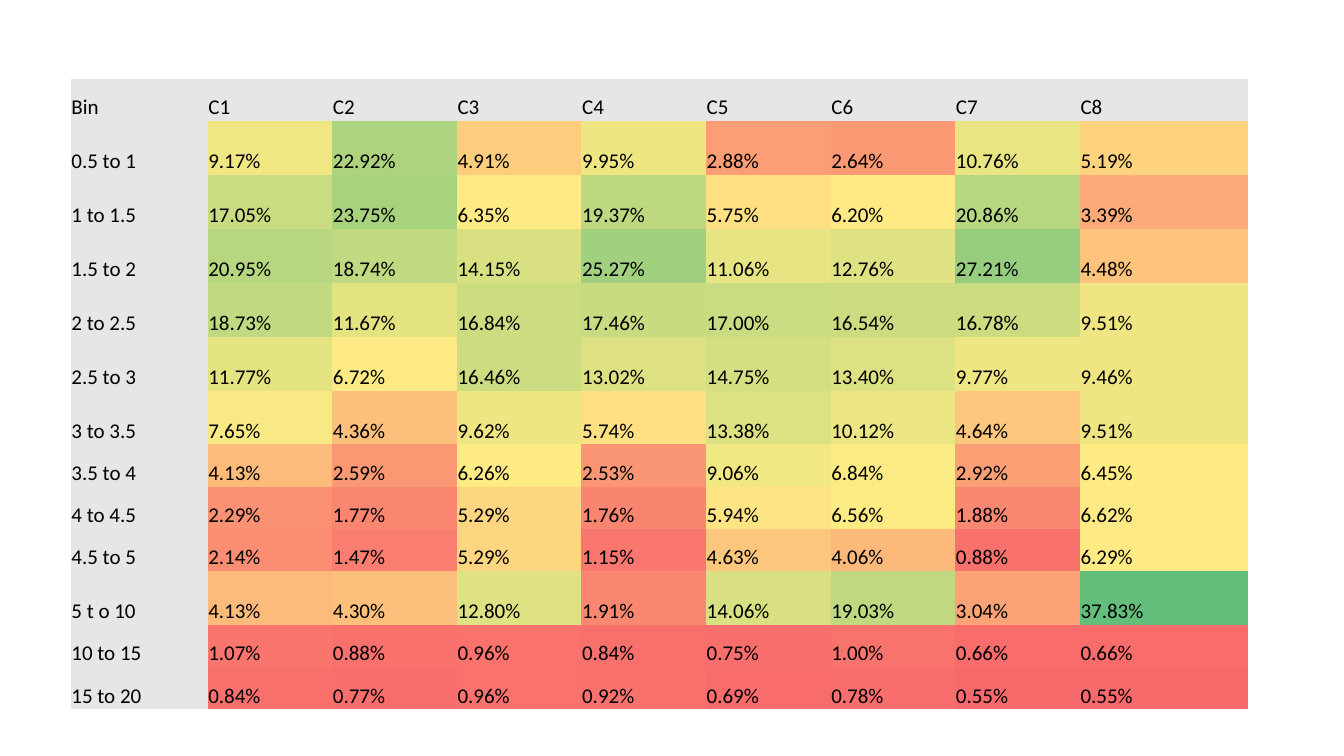
from dataclasses import dataclass

import pptx
import pptx.dml.color
import pptx.enum.text
import pptx.oxml.ns
import pptx.util

Cm = pptx.util.Cm
RGBColor = pptx.dml.color.RGBColor

GREY = RGBColor(0xE7, 0xE6, 0xE6)
BLACK = RGBColor(0x00, 0x00, 0x00)
LOW_RED = RGBColor(0xF8, 0x69, 0x6B)
MEDIAN_YELLOW = RGBColor(0xFF, 0xEB, 0x84)
HIGH_GREEN = RGBColor(0x63, 0xBE, 0x7B)

NO_STYLE_NO_GRID = "{2D5ABB26-0587-4C30-8999-92F81FD0307C}"
SHORT_ROW = Cm(1.06)
TALL_ROW = Cm(1.36)
COLUMN_WIDTHS = [Cm(3.45)] + [Cm(3.14)] * 7 + [Cm(4.24)]
HEADINGS = ["Bin"] + [f"C{number}" for number in range(1, 9)]


@dataclass(frozen=True)
class Bin:
    label: str
    shares: tuple[float, ...]
    height: int = TALL_ROW


BINS = [
    Bin("0.5 to 1", (9.17, 22.92, 4.91, 9.95, 2.88, 2.64, 10.76, 5.19)),
    Bin("1 to 1.5", (17.05, 23.75, 6.35, 19.37, 5.75, 6.20, 20.86, 3.39)),
    Bin("1.5 to 2", (20.95, 18.74, 14.15, 25.27, 11.06, 12.76, 27.21, 4.48)),
    Bin("2 to 2.5", (18.73, 11.67, 16.84, 17.46, 17.00, 16.54, 16.78, 9.51)),
    Bin("2.5 to 3", (11.77, 6.72, 16.46, 13.02, 14.75, 13.40, 9.77, 9.46)),
    Bin("3 to 3.5", (7.65, 4.36, 9.62, 5.74, 13.38, 10.12, 4.64, 9.51)),
    Bin("3.5 to 4", (4.13, 2.59, 6.26, 2.53, 9.06, 6.84, 2.92, 6.45), SHORT_ROW),
    Bin("4 to 4.5", (2.29, 1.77, 5.29, 1.76, 5.94, 6.56, 1.88, 6.62), SHORT_ROW),
    Bin("4.5 to 5", (2.14, 1.47, 5.29, 1.15, 4.63, 4.06, 0.88, 6.29), SHORT_ROW),
    Bin("5 t o 10", (4.13, 4.30, 12.80, 1.91, 14.06, 19.03, 3.04, 37.83)),
    Bin("10 to 15", (1.07, 0.88, 0.96, 0.84, 0.75, 1.00, 0.66, 0.66), SHORT_ROW),
    Bin("15 to 20", (0.84, 0.77, 0.96, 0.92, 0.69, 0.78, 0.55, 0.55), SHORT_ROW),
]

SORTED_SHARES = sorted(share for row_bin in BINS for share in row_bin.shares)
LOWEST, HIGHEST = SORTED_SHARES[0], SORTED_SHARES[-1]
MIDDLE = len(SORTED_SHARES) // 2
MEDIAN = (SORTED_SHARES[MIDDLE - 1] + SORTED_SHARES[MIDDLE]) / 2


def blend(start: RGBColor, end: RGBColor, fraction: float) -> RGBColor:
    return RGBColor(*(round(a + (b - a) * fraction) for a, b in zip(start, end)))


def heat_color(share: float) -> RGBColor:
    if share <= MEDIAN:
        return blend(LOW_RED, MEDIAN_YELLOW, (share - LOWEST) / (MEDIAN - LOWEST))
    return blend(MEDIAN_YELLOW, HIGH_GREEN, (share - MEDIAN) / (HIGHEST - MEDIAN))


def fill_cell(cell, text: str, color: RGBColor) -> None:
    cell.fill.solid()
    cell.fill.fore_color.rgb = color
    cell.margin_left = cell.margin_right = cell.margin_top = Cm(0.02)
    cell.margin_bottom = 0
    cell.vertical_anchor = pptx.enum.text.MSO_ANCHOR.BOTTOM
    cell.text = text
    font = cell.text_frame.paragraphs[0].font
    font.name = "Calibri"
    font.size = pptx.util.Pt(15)
    font.color.rgb = BLACK


def add_heat_table(page) -> None:
    heights = [SHORT_ROW] + [row_bin.height for row_bin in BINS]
    table = page.shapes.add_table(
        len(heights), len(HEADINGS), Cm(1.78), Cm(1.98),
        sum(COLUMN_WIDTHS), sum(heights),
    ).table
    table.first_row = table.horz_banding = False
    style = table._tbl.tblPr.find(pptx.oxml.ns.qn("a:tableStyleId"))
    style.text = NO_STYLE_NO_GRID
    for column, width in zip(table.columns, COLUMN_WIDTHS):
        column.width = width
    for row, height in zip(table.rows, heights):
        row.height = height

    for column_index, heading in enumerate(HEADINGS):
        fill_cell(table.cell(0, column_index), heading, GREY)
    for row_index, row_bin in enumerate(BINS, start=1):
        fill_cell(table.cell(row_index, 0), row_bin.label, GREY)
        for column_index, share in enumerate(row_bin.shares, start=1):
            cell = table.cell(row_index, column_index)
            fill_cell(cell, f"{share:.2f}%", heat_color(share))


def main() -> None:
    deck = pptx.Presentation()
    deck.slide_width = Cm(33.87)
    deck.slide_height = Cm(19.05)
    page = deck.slides.add_slide(deck.slide_layouts[6])
    add_heat_table(page)
    deck.save("out.pptx")


if __name__ == "__main__":
    main()
